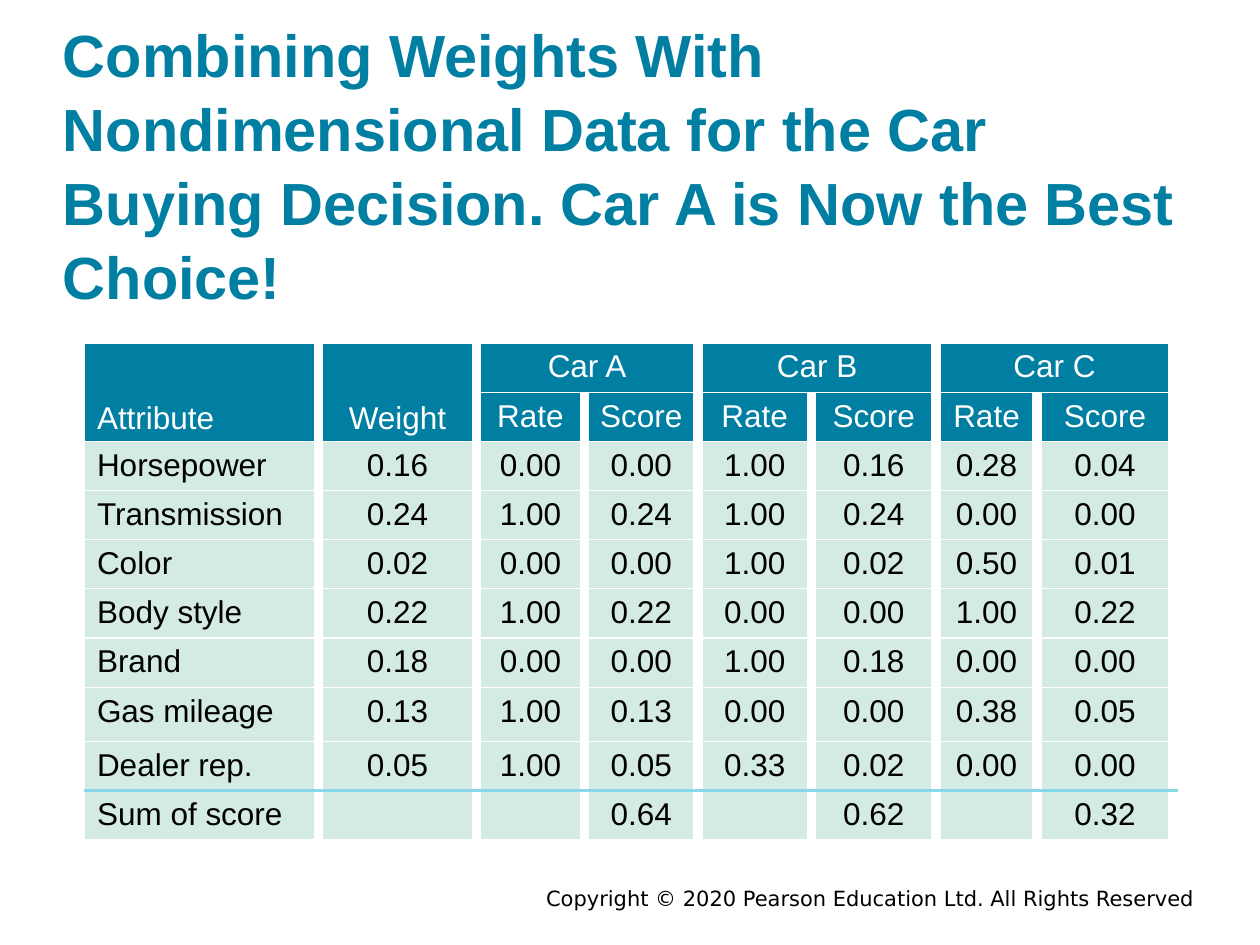
from lxml.etree import SubElement as Sub
from pptx import Presentation
from pptx.dml.color import RGBColor
from pptx.enum.text import MSO_ANCHOR as Anchor, PP_ALIGN as Align
from pptx.oxml.ns import qn
from pptx.util import Inches, Pt

TEAL, MINT, AQUA, WHITE, BLACK = "007FA3", "D4EAE4", "88D7E6", "FFFFFF", "000000"
COLUMN_WIDTHS = [1.86, 1.25, 0.86, 0.9, 0.9, 0.99, 0.8, 1.08]
ROW_HEIGHTS = [0.38] * 7 + [0.43] + [0.38] * 2
HEADER = [
    ["Attribute", "Weight", "Car A", "", "Car B", "", "Car C", ""],
    ["", ""] + ["Rate", "Score"] * 3,
]
RATINGS = [
    ["Horsepower", "0.16", "0.00", "0.00", "1.00", "0.16", "0.28", "0.04"],
    ["Transmission", "0.24", "1.00", "0.24", "1.00", "0.24", "0.00", "0.00"],
    ["Color", "0.02", "0.00", "0.00", "1.00", "0.02", "0.50", "0.01"],
    ["Body style", "0.22", "1.00", "0.22", "0.00", "0.00", "1.00", "0.22"],
    ["Brand", "0.18", "0.00", "0.00", "1.00", "0.18", "0.00", "0.00"],
    ["Gas mileage", "0.13", "1.00", "0.13", "0.00", "0.00", "0.38", "0.05"],
    ["Dealer rep.", "0.05", "1.00", "0.05", "0.33", "0.02", "0.00", "0.00"],
    ["Sum of score", "", "", "0.64", "", "0.62", "", "0.32"],
]
MERGES = [(0, 0, 1, 0), (0, 1, 1, 1), (0, 2, 0, 3), (0, 4, 0, 5), (0, 6, 0, 7)]


def color(code):
    """Turn a hex string into a colour."""
    return RGBColor.from_string(code)


def apply(target, values):
    """Set every attribute named in a dict of format values."""
    for name, value in values.items():
        setattr(target, name, value)


class Deck:
    """Hold the style and the current slide."""

    def __init__(self, width, height):
        """Open a presentation with one blank slide."""
        self.show = Presentation()
        apply(self.show, {"slide_width": Inches(width), "slide_height": Inches(height)})
        self.slide = self.show.slides.add_slide(self.show.slide_layouts[6])
        self.shapes = self.slide.shapes

    def place(self, left, top, width, height):
        """Convert shares of the slide's size to lengths."""
        across, down = self.show.slide_width, self.show.slide_height
        return [int(v) for v in (left * across, top * down, width * across, height * down)]

    def label(self, frame, words, ink, font, paragraph):
        """Put one formatted paragraph into a text frame."""
        line = frame.paragraphs[0]
        apply(line, paragraph)
        run = line.add_run()
        run.text = words
        apply(run.font, font)
        run.font.color.rgb = color(ink)

    def text(self, area, words, ink, font, paragraph, anchor):
        """Add a wrapped text box without margins."""
        frame = self.shapes.add_textbox(*self.place(*area)).text_frame
        apply(frame, {"word_wrap": True, "vertical_anchor": anchor, "margin_left": 0,
                      "margin_top": 0, "margin_right": 0, "margin_bottom": 0})
        self.label(frame, words, ink, font, paragraph)

    def border(self, cell, side, ink, points):
        """Draw one edge of a cell."""
        edge = Sub(cell._tc.get_or_add_tcPr(), qn(f"a:ln{side}"), w=str(Pt(points)))
        Sub(Sub(edge, qn("a:solidFill")), qn("a:srgbClr"), val=ink)

    def table(self, area, header, body, widths, heights, merges):
        """Add a table with header bands and a ruled total row."""
        content = header + body
        frame = self.shapes.add_table(len(content), len(widths), *self.place(*area))
        grid = frame.table
        apply(grid, {"first_row": False, "horz_banding": False})
        for column, width in zip(grid.columns, widths):
            column.width = Inches(width)
        for row, height in zip(grid.rows, heights):
            row.height = Inches(height)
        for r, entries in enumerate(content):
            for c, entry in enumerate(entries):
                self.cell(grid.cell(r, c), entry, r < len(header), c == 0,
                          r == len(content) - 1, r == len(content) - 2)
        for top, left, bottom, right in merges:
            grid.cell(top, left).merge(grid.cell(bottom, right))
            if bottom > top:
                grid.cell(top, left).vertical_anchor = Anchor.BOTTOM

    def cell(self, cell, entry, heading, first, total, above_total):
        """Fill, rule and label one table cell."""
        thin, rule = (WHITE, 0.75), (AQUA, 1.5)
        edges = {} if first else {"L": (WHITE, 6)}
        edges.update(R=(WHITE, 6), T=rule if total else thin, B=rule if above_total else thin)
        for side, line in edges.items():
            self.border(cell, side, *line)
        cell.fill.solid()
        cell.fill.fore_color.rgb = color(TEAL if heading else MINT)
        apply(cell, {"margin_top": Inches(0.05), "margin_bottom": Inches(0.04)})
        if entry:
            self.label(cell.text_frame, entry, WHITE if heading else BLACK,
                       {"name": "Arial", "size": Pt(18)},
                       {"alignment": Align.LEFT if first else Align.CENTER})


def main():
    """Build the car decision slide."""
    deck = Deck(10, 7.5)
    deck.text((0.284, 0.937, 0.664, 0.04),
              "Copyright © 2020 Pearson Education Ltd. All Rights Reserved", BLACK,
              {"name": "DejaVu Sans", "size": Pt(12)}, {"alignment": Align.RIGHT}, Anchor.TOP)
    deck.text((0.05, 0.01, 0.9, 0.32),
              "Combining Weights With Nondimensional Data for the Car Buying Decision. "
              "Car A is Now the Best Choice!", TEAL,
              {"name": "Arial", "size": Pt(34), "bold": True},
              {"alignment": Align.LEFT, "line_spacing": 1.04}, Anchor.BOTTOM)
    deck.table((0.067, 0.363, 0.864, 0.513), HEADER, RATINGS,
               COLUMN_WIDTHS, ROW_HEIGHTS, MERGES)
    deck.show.save("out.pptx")


if __name__ == "__main__":
    main()
